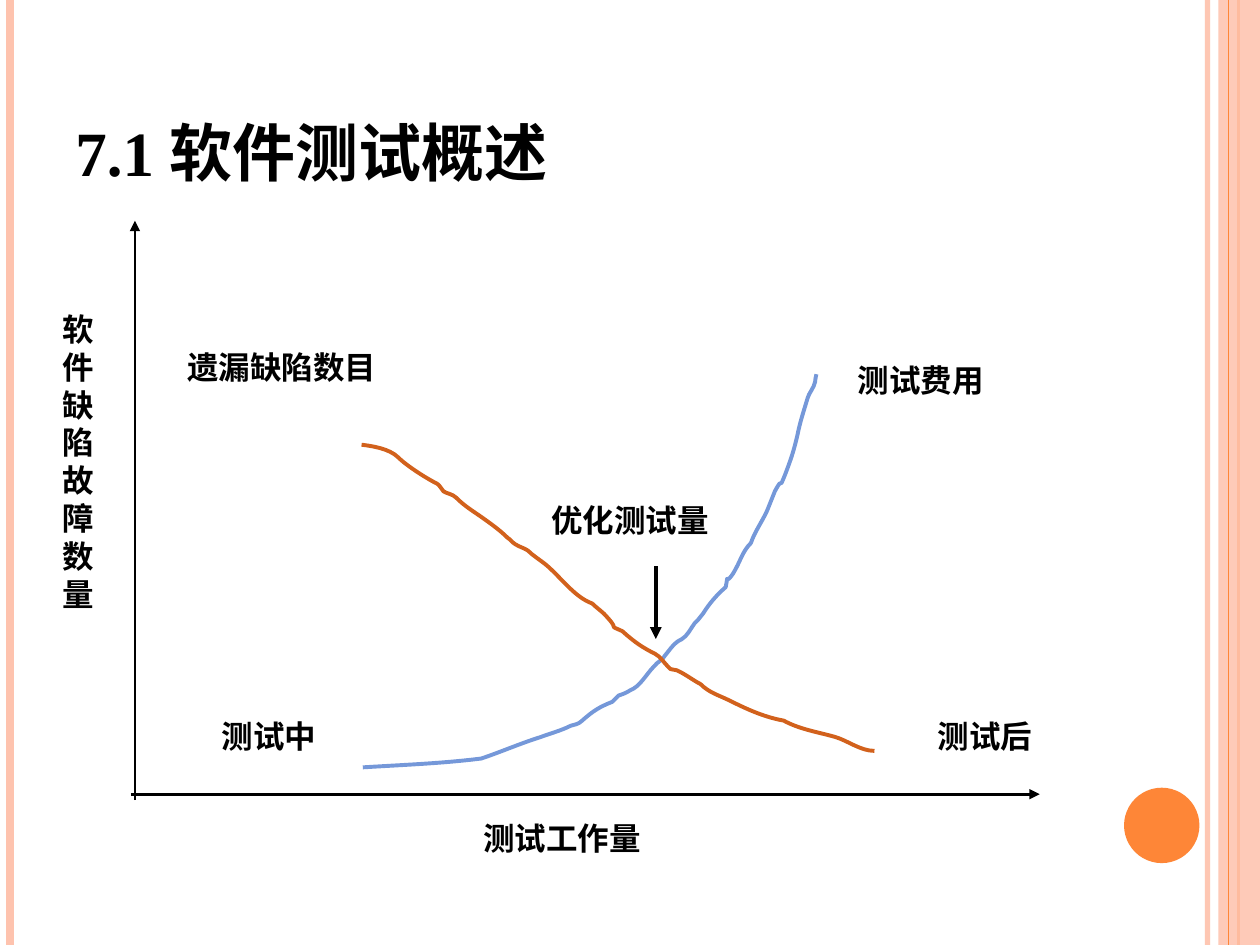
from dataclasses import dataclass

from lxml import etree
from pptx import Presentation
from pptx.dml.color import RGBColor
from pptx.enum import shapes, text
from pptx.oxml import ns
from pptx.util import Cm, Pt


@dataclass(frozen=True)
class Theme:
    font: str = "Times New Roman"
    ink: str = "000000"
    peach: str = "FEC3AE"
    orange: str = "FE8637"
    cost: str = "7598D9"
    defects: str = "D2611C"
    title_size: int = 36
    label_size: int = 18


THEME = Theme()
WIDTH, HEIGHT = 25.4, 19.05
CURVE_UNIT = Cm(2.54) / 100

COST_CURVE = [
    (288, 609), (320, 607), (350, 606), (382, 602), (397, 597), (413, 590), (429, 585),
    (437, 582), (445, 580), (453, 576), (456, 575), (459, 575), (462, 572),
    (471, 564), (476, 561), (486, 557), (488, 556), (489, 553), (491, 552),
    (494, 551), (497, 550), (500, 548), (508, 545), (513, 535), (519, 529),
    (522, 525), (526, 524), (528, 520), (533, 514), (533, 513), (538, 509),
    (540, 508), (542, 507), (544, 505), (548, 501), (550, 495), (554, 492),
    (555, 490), (557, 489), (558, 487), (563, 479), (569, 472), (576, 466),
    (579, 451), (574, 467), (582, 455), (588, 445), (589, 438), (596, 431),
    (599, 422), (605, 414), (609, 405), (611, 400), (613, 395), (615, 390),
    (623, 375), (617, 392), (623, 377), (628, 364), (630, 358), (633, 345),
    (635, 335), (638, 326), (641, 316), (642, 312), (646, 308), (647, 303),
    (647, 301), (648, 297), (648, 297),
]
DEFECT_CURVE = [
    (287, 353), (295, 354), (309, 356), (316, 363), (323, 370), (339, 380), (347, 384),
    (349, 385), (350, 388), (352, 390), (355, 392), (359, 392), (362, 395),
    (369, 402), (376, 406), (383, 411), (390, 416), (397, 421), (403, 427),
    (405, 428), (407, 431), (409, 432), (412, 434), (416, 435), (419, 437),
    (423, 441), (428, 444), (433, 448), (445, 458), (456, 474), (470, 479),
    (474, 483), (479, 486), (482, 490), (493, 502), (481, 495), (494, 501),
    (504, 510), (510, 514), (520, 519), (524, 521), (527, 526), (531, 530),
    (532, 532), (535, 531), (537, 532), (544, 535), (550, 540), (556, 543),
    (563, 550), (571, 552), (579, 556), (593, 563), (606, 569), (622, 572),
    (635, 579), (649, 581), (663, 585), (673, 588), (683, 596), (694, 596),
]
LABELS = [
    ("软件缺陷故障数量", 1.27, 6.25, 0.69, 9.25),
    ("测试工作量", 9.74, 16.52, 4.67, 1.45),
    ("测试中", 4.47, 14.46, 2.9, 1.32),
    ("测试后", 18.9, 14.46, 2.72, 1.47),
    ("测试费用", 17.29, 7.27, 4.72, 1.52),
    ("遗漏缺陷数目", 3.78, 7.01, 4.93, 1.45),
    ("优化测试量", 11.11, 10.11, 3.89, 1.47),
]


def set_opacity(element, percent):
    color = element.find(".//" + ns.qn("a:srgbClr"))
    etree.SubElement(color, ns.qn("a:alpha"), val=str(percent * 1000))


def add_line(target, start, end, color, width, arrow=False, opacity=100):
    points = [Cm(value) for value in (*start, *end)]
    line = target.add_connector(shapes.MSO_CONNECTOR.STRAIGHT, *points)
    line.line.color.rgb = RGBColor.from_string(color)
    line.line.width = Pt(width)
    outline = line.line._get_or_add_ln()
    if opacity < 100:
        set_opacity(outline, opacity)
    if arrow:
        etree.SubElement(outline, ns.qn("a:tailEnd"), type="triangle")
    etree.SubElement(line._element.spPr, ns.qn("a:effectLst"))


def add_solid(target, kind, left, top, width, height, color):
    solid = target.add_shape(kind, Cm(left), Cm(top), Cm(width), Cm(height))
    solid.shadow.inherit = False
    solid.fill.solid()
    solid.fill.fore_color.rgb = RGBColor.from_string(color)
    solid.line.fill.background()
    return solid


def bend_segments(curve):
    segments = list(curve._element.iter(ns.qn("a:lnTo")))
    for first in range(0, len(segments), 3):
        bend = etree.Element(ns.qn("a:cubicBezTo"))
        segments[first].addprevious(bend)
        for segment in segments[first:first + 3]:
            bend.append(segment[0])
            segment.getparent().remove(segment)


def add_curve(target, points, color):
    builder = target.build_freeform(*points[0], scale=CURVE_UNIT)
    builder.add_line_segments(points[1:], close=False)
    curve = builder.convert_to_shape()
    bend_segments(curve)
    curve.shadow.inherit = False
    curve.fill.background()
    curve.line.color.rgb = RGBColor.from_string(color)
    curve.line.width = Pt(2.25)


def add_box(target, left, top, width, height):
    box = target.add_textbox(Cm(left), Cm(top), Cm(width), Cm(height))
    box.text_frame.word_wrap = True
    return box.text_frame


def add_span(para, content, size):
    span = para.add_run()
    span.text = content
    span.font.name = THEME.font
    span.font.size = Pt(size)
    span.font.bold = True
    span.font.color.rgb = RGBColor.from_string(THEME.ink)


def add_title(target):
    frame = add_box(target, 1.27, 0.76, 20.75, 3.18)
    frame.vertical_anchor = text.MSO_ANCHOR.BOTTOM
    add_span(frame.paragraphs[0], "7.1 软件测试概述", THEME.title_size)


def add_label(target, content, *place):
    frame = add_box(target, *place)
    frame.margin_left = frame.margin_right = 0
    frame.margin_top = frame.margin_bottom = 0
    para = frame.paragraphs[0]
    para.alignment = text.PP_ALIGN.JUSTIFY
    add_span(para, content, THEME.label_size)


def add_stripe(target, x, color, width, opacity=100):
    add_line(target, (x, 0), (x, HEIGHT), color, width, opacity=opacity)


def add_decoration(target):
    add_stripe(target, 24.34, THEME.peach, 3, opacity=93)
    add_stripe(target, 0.21, THEME.peach, 4.5)
    add_stripe(target, 24.97, THEME.orange, 1.5)
    band = add_solid(target, shapes.MSO_SHAPE.RECTANGLE, 24.56, 0, 0.84, HEIGHT, THEME.peach)
    set_opacity(band._element.spPr, 87)
    add_stripe(target, 24.77, THEME.orange, 0.75)
    add_solid(target, shapes.MSO_SHAPE.OVAL, 22.66, 15.88, 1.52, 1.52, THEME.orange)


def add_diagram(target):
    add_line(target, (2.72, 16.13), (2.72, 4.45), THEME.ink, 1.5, arrow=True)
    add_line(target, (2.64, 16.01), (20.96, 16.01), THEME.ink, 1.5, arrow=True)
    add_curve(target, COST_CURVE, THEME.cost)
    add_curve(target, DEFECT_CURVE, THEME.defects)
    for label in LABELS:
        add_label(target, *label)
    add_line(target, (13.22, 11.41), (13.22, 12.88), THEME.ink, 2.25, arrow=True)


def main():
    deck = Presentation()
    deck.slide_width, deck.slide_height = Cm(WIDTH), Cm(HEIGHT)
    page = deck.slides.add_slide(deck.slide_layouts[6])
    add_decoration(page.shapes)
    add_title(page.shapes)
    add_diagram(page.shapes.add_group_shape().shapes)
    deck.save("out.pptx")


if __name__ == "__main__":
    main()
